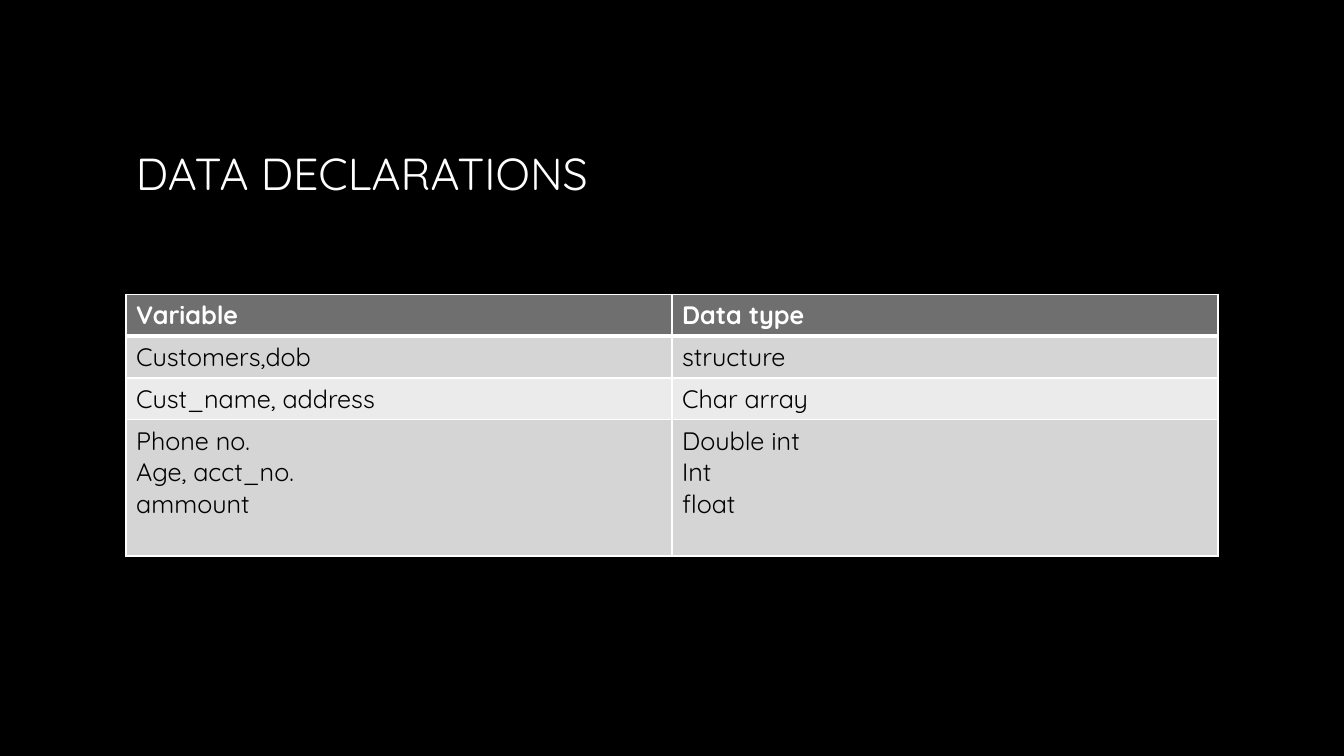
"""Build the data declarations slide: a title above a two-column table."""
import pptx
import pptx.dml.color
import pptx.enum.text
import pptx.oxml
import pptx.oxml.ns
import pptx.util

TITLE = "DATA DECLARATIONS"
DECLARATIONS = [
    ("Variable", "Data type"),
    ("Customers,dob", "structure"),
    ("Cust_name, address", "Char array"),
    ("Phone no.\nAge, acct_no.\nammount", "Double int\nInt\nfloat"),
]

BLACK = pptx.dml.color.RGBColor(0x00, 0x00, 0x00)
WHITE = pptx.dml.color.RGBColor(0xFF, 0xFF, 0xFF)
HEADER_GRAY = pptx.dml.color.RGBColor(0x6F, 0x6F, 0x6F)
BAND_GRAYS = [
    pptx.dml.color.RGBColor(0xEB, 0xEB, 0xEB),
    pptx.dml.color.RGBColor(0xD5, 0xD5, 0xD5),
]

inches, points = pptx.util.Inches, pptx.util.Pt
SLIDE_WIDTH, SLIDE_HEIGHT = 13.33, 7.5
MARGIN = 1.25
CONTENT_WIDTH = SLIDE_WIDTH - 2 * MARGIN
TITLE_TOP, TITLE_HEIGHT = 0.67, 2.08
TABLE_TOP = 2.92
ROW_HEIGHTS = [0.415, 0.415, 0.415, 1.35]

TITLE_FORMAT = {"name": "Quicksand", "size": points(32), "bold": False}
HEADER_FORMAT = {"name": "Quicksand", "size": points(18), "bold": True}
BODY_FORMAT = {"name": "Quicksand", "size": points(18), "bold": False}


def write(frame, text, font_format, color):
    frame.text = text
    for paragraph in frame.paragraphs:
        for run in paragraph.runs:
            for attribute, value in font_format.items():
                setattr(run.font, attribute, value)
            run.font.color.rgb = color


def add_borders(cell, widths):
    properties = cell._tc.get_or_add_tcPr()
    for side, width in widths.items():
        properties.append(pptx.oxml.parse_xml(
            f'<a:{side} {pptx.oxml.ns.nsdecls("a")} w="{points(width)}">'
            f'<a:solidFill><a:srgbClr val="{WHITE}"/></a:solidFill></a:{side}>'
        ))


def add_title(slide):
    heading = slide.shapes.add_textbox(
        inches(MARGIN), inches(TITLE_TOP), inches(CONTENT_WIDTH), inches(TITLE_HEIGHT)
    ).text_frame
    heading.word_wrap = True
    heading.vertical_anchor = pptx.enum.text.MSO_ANCHOR.MIDDLE
    write(heading, TITLE, TITLE_FORMAT, WHITE)


def add_declarations(slide):
    columns = len(DECLARATIONS[0])
    declarations = slide.shapes.add_table(
        len(DECLARATIONS), columns, inches(MARGIN), inches(TABLE_TOP),
        inches(CONTENT_WIDTH), inches(sum(ROW_HEIGHTS)),
    ).table
    for column in declarations.columns:
        column.width = inches(CONTENT_WIDTH / columns)
    for row, entries in enumerate(DECLARATIONS):
        declarations.rows[row].height = inches(ROW_HEIGHTS[row])
        is_header = row == 0
        for column, entry in enumerate(entries):
            cell = declarations.cell(row, column)
            add_borders(cell, {
                "lnL": 1, "lnR": 1,
                "lnT": 3 if row == 1 else 1,
                "lnB": 3 if is_header else 1,
            })
            cell.fill.solid()
            cell.fill.fore_color.rgb = HEADER_GRAY if is_header else BAND_GRAYS[row % 2]
            write(cell.text_frame, entry,
                  HEADER_FORMAT if is_header else BODY_FORMAT,
                  WHITE if is_header else BLACK)


def main():
    deck = pptx.Presentation()
    deck.slide_width, deck.slide_height = inches(SLIDE_WIDTH), inches(SLIDE_HEIGHT)
    slide = deck.slides.add_slide(deck.slide_layouts[6])
    slide.background.fill.solid()
    slide.background.fill.fore_color.rgb = BLACK
    add_title(slide)
    add_declarations(slide)
    deck.save("out.pptx")


if __name__ == "__main__":
    main()
